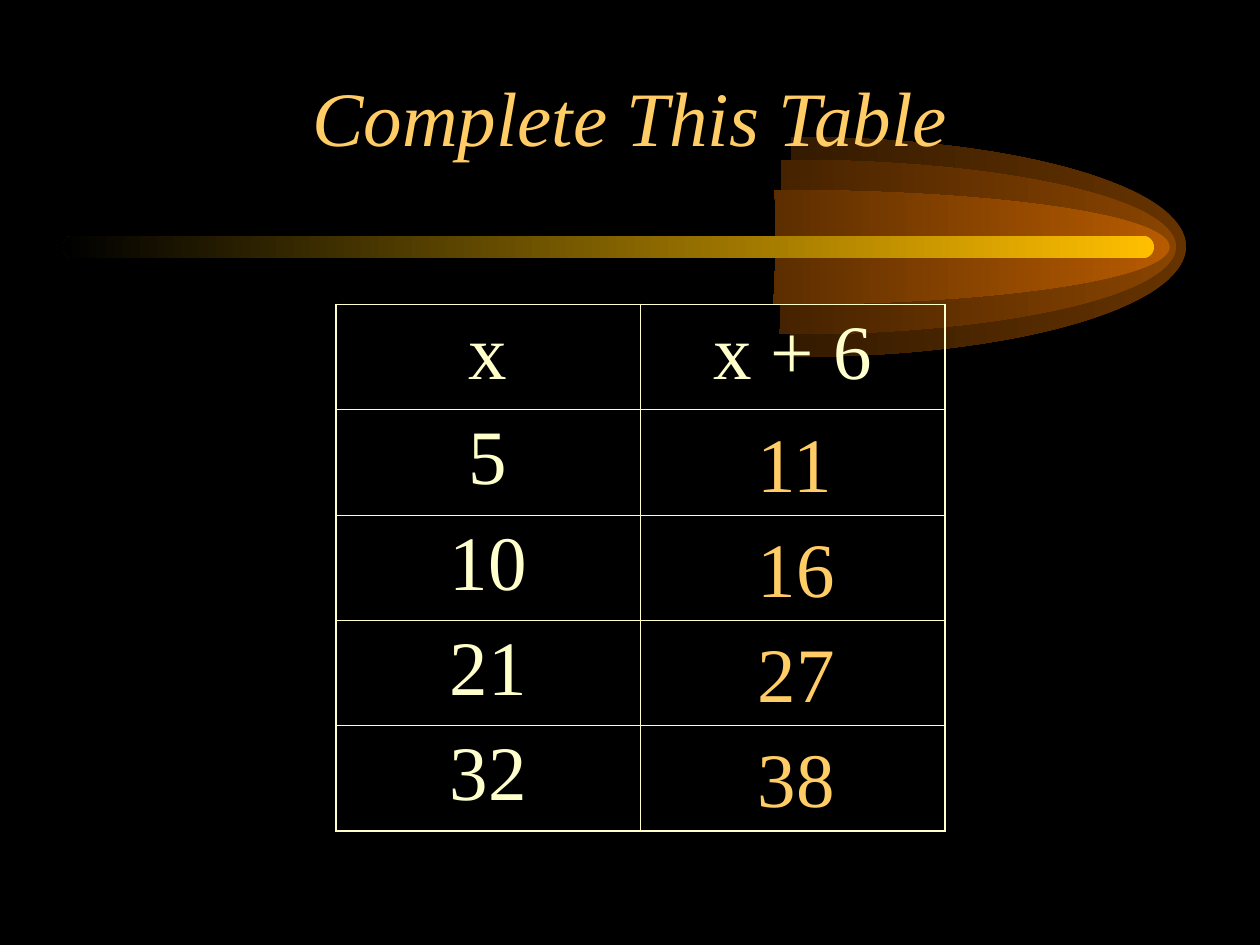
import copy

from lxml import etree
from pptx import Presentation, util as u
from pptx.dml.color import RGBColor
from pptx.enum import shapes, text
from pptx.oxml import ns

BLACK = RGBColor(0x00, 0x00, 0x00)
CREAM = RGBColor(0xFF, 0xFF, 0xCC)
GOLD = RGBColor(0xFF, 0xCC, 0x66)
YELLOW = RGBColor(0xFF, 0xBF, 0x00)
FLAMES = [
    (3.16, 1.09, 1.75, RGBColor(0x66, 0x33, 0x00)),
    (3.08, 1.27, 1.39, RGBColor(0x89, 0x44, 0x00)),
    (3.03, 1.51, 0.91, RGBColor(0xB7, 0x5B, 0x00)),
]
FLAME_WIDTH = 6.26
FLAME_GRID = (626, 175)
FLAME_OUTLINE = [
    ("moveTo", [(312, 0)]),
    ("cubicBezTo", [(424, -1), (528, 16), (584, 43)]),
    ("cubicBezTo", [(640, 70), (639, 104), (583, 131)]),
    ("cubicBezTo", [(527, 158), (423, 175), (311, 174)]),
    ("lnTo", [(313, 87)]),
    ("close", []),
]
ROWS = [("x", "x + 6"), ("5", ""), ("10", ""), ("21", ""), ("32", "")]
ANSWERS = ["11", "16", "27", "38"]

presentation = Presentation()
presentation.slide_width = u.Inches(10)
presentation.slide_height = u.Inches(7.5)
UNIT = presentation.slide_width // 120
COLUMN, ROW = 29 * UNIT, u.Inches(4.18) // len(ROWS)
TABLE_LEFT, TABLE_TOP = 32 * UNIT, 29 * UNIT

slide = presentation.slides.add_slide(presentation.slide_layouts[6])
slide.background.fill.solid()
slide.background.fill.fore_color.rgb = BLACK


def paint_gradient(shape, right_color):
    shape.shadow.inherit = False
    shape.line.fill.background()
    shape.fill.gradient()
    shape.fill.gradient_angle = 180
    for stop, color in zip(shape.fill.gradient_stops, (right_color, BLACK)):
        stop.color.rgb = color


def write(text_frame, words, color, alignment, italic=False):
    text_frame.text = words
    paragraph = text_frame.paragraphs[0]
    paragraph.alignment = alignment
    for run in paragraph.runs:
        run.font.name = "Times New Roman"
        run.font.size = u.Pt(44)
        run.font.italic = italic
        run.font.color.rgb = color


comet = slide.shapes.add_group_shape()
for left, top, height, color in FLAMES:
    x, y = u.Inches(left), u.Inches(top)
    right, bottom = x + u.Inches(FLAME_WIDTH), y + u.Inches(height)
    builder = comet.shapes.build_freeform(x, y, scale=1)
    builder.add_line_segments([(right, y), (right, bottom), (x, bottom)], close=True)
    flame = builder.convert_to_shape()
    filled = flame._element.find(".//" + ns.qn("a:path"))
    for segment in list(filled):
        filled.remove(segment)
    filled.set("w", str(FLAME_GRID[0]))
    filled.set("h", str(FLAME_GRID[1]))
    for command, points in FLAME_OUTLINE:
        segment = etree.SubElement(filled, ns.qn("a:" + command))
        for across, down in points:
            etree.SubElement(segment, ns.qn("a:pt"), x=str(across), y=str(down))
    edge = copy.deepcopy(filled)
    edge.set("fill", "none")
    for segment in list(edge)[-2:]:
        edge.remove(segment)
    filled.addnext(edge)
    paint_gradient(flame, color)

bar = comet.shapes.add_shape(shapes.MSO_SHAPE.ROUNDED_RECTANGLE,
                             u.Inches(0.5), u.Inches(1.87), u.Inches(8.66), u.Inches(0.18))
bar.adjustments[0] = 0.5
paint_gradient(bar, YELLOW)

title = slide.shapes.add_textbox(9 * UNIT, 5 * UNIT, 102 * UNIT, 11 * UNIT)
title.text_frame.word_wrap = True
title.text_frame.vertical_anchor = text.MSO_ANCHOR.BOTTOM
write(title.text_frame, "Complete This Table", GOLD, text.PP_ALIGN.CENTER, italic=True)

table = slide.shapes.add_table(len(ROWS), 2, TABLE_LEFT, TABLE_TOP,
                               2 * COLUMN, len(ROWS) * ROW).table
table.first_row = table.horz_banding = False
for column in table.columns:
    column.width = COLUMN
for row_index, row in enumerate(ROWS):
    table.rows[row_index].height = ROW
    for column_index, words in enumerate(row):
        cell = table.cell(row_index, column_index)
        write(cell.text_frame, words, CREAM, text.PP_ALIGN.CENTER)
        properties = cell._tc.get_or_add_tcPr()
        outer_edges = {"lnL": column_index == 0, "lnR": column_index == 1,
                       "lnT": row_index == 0, "lnB": row_index == len(ROWS) - 1}
        for side, is_outer in outer_edges.items():
            border = etree.SubElement(properties, ns.qn("a:" + side),
                                      w=str(u.Pt(1.08 if is_outer else 0.45)))
            solid = etree.SubElement(border, ns.qn("a:solidFill"))
            etree.SubElement(solid, ns.qn("a:srgbClr"), val=str(CREAM))
        cell.fill.background()

for index, answer in enumerate(ANSWERS, start=1):
    box = slide.shapes.add_textbox(71 * UNIT, TABLE_TOP + index * 10 * UNIT,
                                   u.Inches(0.81), u.Inches(0.84))
    box.text_frame.word_wrap = False
    box.text_frame.auto_size = text.MSO_AUTO_SIZE.SHAPE_TO_FIT_TEXT
    write(box.text_frame, answer, GOLD, text.PP_ALIGN.LEFT)

presentation.save("out.pptx")
